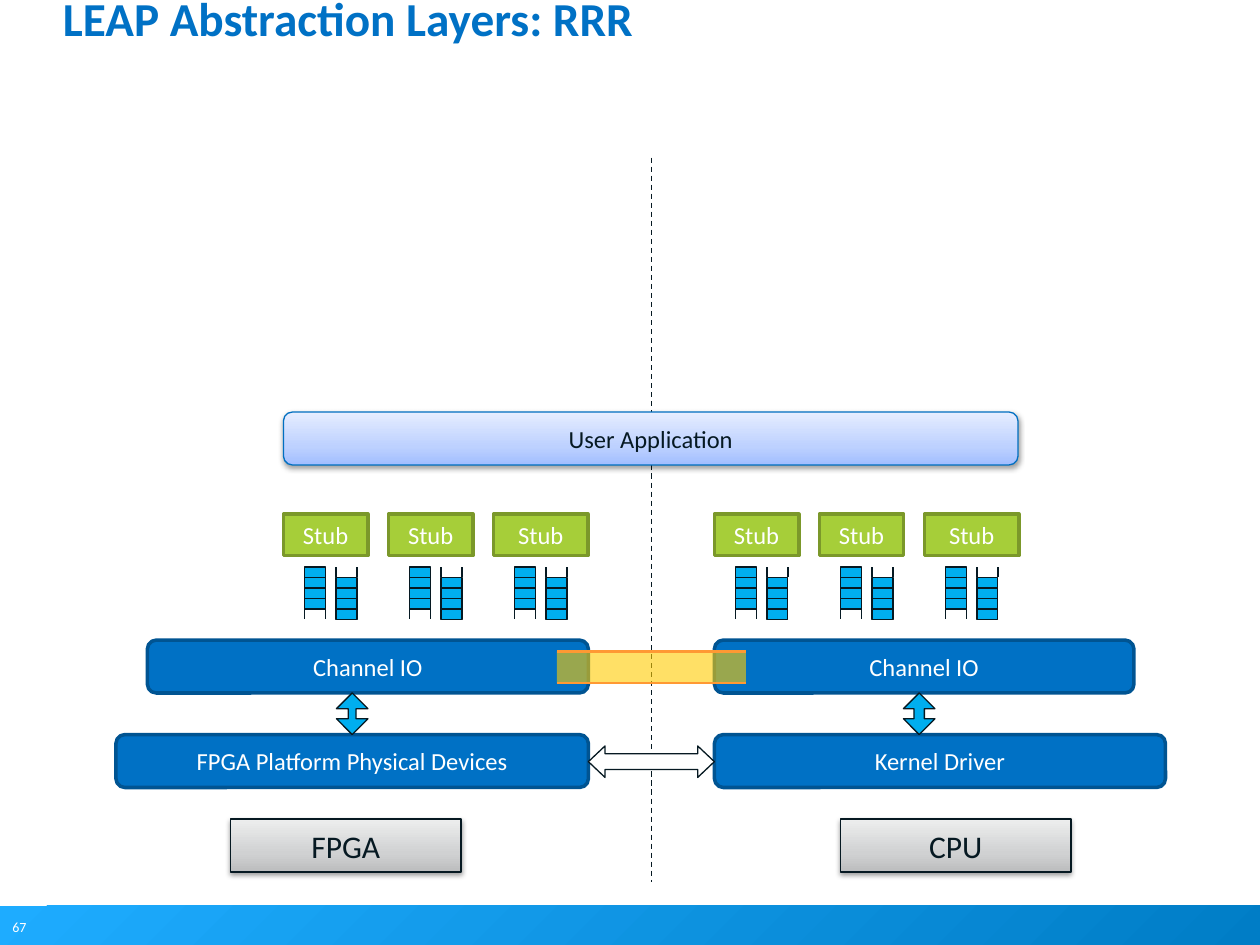
from lxml import etree
from pptx import Presentation
from pptx.dml.color import RGBColor
from pptx.enum.dml import MSO_LINE
from pptx.enum.shapes import MSO_CONNECTOR, MSO_SHAPE
from pptx.enum.text import MSO_ANCHOR, PP_ALIGN
from pptx.oxml.ns import qn
from pptx.util import Inches, Pt

RECTANGLE = MSO_SHAPE.RECTANGLE
ROUNDED = MSO_SHAPE.ROUNDED_RECTANGLE
ACROSS = MSO_SHAPE.LEFT_RIGHT_ARROW
UP_DOWN = MSO_SHAPE.UP_DOWN_ARROW
STRAIGHT = MSO_CONNECTOR.STRAIGHT
DASH = MSO_LINE.DASH
CENTER = PP_ALIGN.CENTER
MIDDLE = MSO_ANCHOR.MIDDLE

SLOT = 1 / 12
STUB_PITCH = 10 * SLOT


class Theme:
    font = "Calibri"
    ink = "061922"
    white = "FFFFFF"
    title = "0071C5"
    layer = ("0071C5", "005492")
    stub = ("A6CE39", "7B982A")
    queue = "00AEEF"
    channel = "FFCC00"
    channel_rail = "FF9933"
    application_line = "006FC1"
    application = [(0, "A2BEFF"), (35, "BDD1FF"), (100, "E6EDFF")]
    side = [(0, "BCBDBE"), (35, "D0D1D2"), (100, "EDEEEE")]
    footer = [(0, "1EACFF"), (100, "007DC6")]
    title_size = 27
    title_spacing = 26
    side_size = 18
    label_size = 14
    number_size = 8
    thin = 0.75
    rail = 1.5
    thick = 2


class Diagram:
    def __init__(self, page, theme):
        self.page = page
        self.theme = theme

    def child(self, parent, tag, **attributes):
        return etree.SubElement(parent, qn(tag), attributes)

    def fill_text(self, shape, text, size, color, bold=False):
        para = shape.text_frame.paragraphs[0]
        para.text = text
        span = para.runs[0]
        span.font.name = self.theme.font
        span.font.size = Pt(size)
        span.font.bold = bold
        span.font.color.rgb = RGBColor.from_string(color)
        return para

    def text(self, at, text, size, color, bold=False, wrap=True):
        box = self.page.shapes.add_textbox(*map(Inches, at))
        box.text_frame.word_wrap = wrap
        return box.text_frame, self.fill_text(box, text, size, color, bold)

    def shape(self, at, kind=RECTANGLE, fill=None, line=None, weight=Theme.thin,
              adjust=(), parent=None):
        shape = (parent or self.page).shapes.add_shape(kind, *map(Inches, at))
        shape.shadow.inherit = False
        for index, value in enumerate(adjust):
            shape.adjustments[index] = value
        if fill:
            shape.fill.solid()
            shape.fill.fore_color.rgb = RGBColor.from_string(fill)
        if line:
            shape.line.color.rgb = RGBColor.from_string(line)
            shape.line.width = Pt(weight)
        else:
            shape.line.fill.background()
        return shape

    def label(self, shape, text, size, color, wrap=False):
        shape.text_frame.word_wrap = wrap
        shape.text_frame.vertical_anchor = MIDDLE
        self.fill_text(shape, text, size, color).alignment = CENTER

    def gradient(self, shape, stops, angle):
        shape.fill.gradient()
        fill = shape.element.spPr.find(qn("a:gradFill"))
        for old in list(fill):
            fill.remove(old)
        stop_list = self.child(fill, "a:gsLst")
        for position, color in stops:
            stop = self.child(stop_list, "a:gs", pos=str(position * 1000))
            self.child(stop, "a:srgbClr", val=color)
        self.child(fill, "a:lin", ang=str(angle * 60000), scaled="0")

    def shadow(self, shape):
        effects = shape.element.spPr.find(qn("a:effectLst"))
        outer = self.child(effects, "a:outerShdw", blurRad=str(Pt(3.1)), dist=str(Pt(1.6)),
                           dir="5400000", rotWithShape="0")
        color = self.child(outer, "a:srgbClr", val="000000")
        self.child(color, "a:alpha", val="38000")

    def line(self, start, end, color, weight=Theme.thin, parent=None):
        line = (parent or self.page).shapes.add_connector(STRAIGHT, *map(Inches, start + end))
        line.line.color.rgb = RGBColor.from_string(color)
        line.line.width = Pt(weight)
        self.child(line.element.spPr, "a:effectLst")
        return line

    def layer(self, at, text):
        fill, line = self.theme.layer
        box = self.shape(at, ROUNDED, fill, line, self.theme.thick, [0.167])
        self.label(box, text, self.theme.label_size, self.theme.white)

    def raised(self, at, kind, stops, line, text, size, wrap):
        box = self.shape(at, kind, line=line)
        self.gradient(box, stops, 270)
        self.shadow(box)
        self.label(box, text, size, self.theme.ink, wrap)
        return box

    def channel(self, left, top, width, height):
        group = self.page.shapes.add_group_shape()
        band = self.shape((left, top, width, height), fill=self.theme.channel, parent=group)
        color = band.element.spPr.find(qn("a:solidFill"))[0]
        self.child(color, "a:alpha", val="60000")
        for y in (top, top + height):
            self.line((left, y), (left + width, y), self.theme.channel_rail,
                      self.theme.rail, group)

    def queue(self, left, top, open_top):
        ink, right = self.theme.ink, left + 2 * SLOT
        block_top = top + SLOT if open_top else top
        rail_top = top if open_top else top + 4 * SLOT
        group = self.page.shapes.add_group_shape()
        self.shape((left, block_top, 2 * SLOT, 4 * SLOT), fill=self.theme.queue,
                   line=ink, parent=group)
        for x in (left, right):
            self.line((x, rail_top), (x, rail_top + SLOT), ink, parent=group)
        for row in (1, 2, 3):
            y = block_top + row * SLOT
            self.line((left, y), (right, y), ink, parent=group)

    def stub(self, left, width):
        fill, line = self.theme.stub
        box = self.shape((left, 4.08, width, 0.33), RECTANGLE, fill, line, self.theme.thick)
        self.label(box, "Stub", self.theme.label_size, self.theme.white)
        self.queue(left + 2 * SLOT, 4.5, False)
        self.queue(left + 5 * SLOT, 4.5, True)


def main():
    deck = Presentation()
    deck.slide_width, deck.slide_height = Inches(10), Inches(7.5)
    theme = Theme()
    diagram = Diagram(deck.slides.add_slide(deck.slide_layouts[6]), theme)

    footer = diagram.shape((0, 7.19, 10.01, 0.32))
    diagram.gradient(footer, theme.footer, 45)
    diagram.text((0, 7.24, 0.31, 0.24), "67", theme.number_size, theme.white, wrap=False)
    frame, para = diagram.text((0.5, 0, 9, 1.25), "LEAP Abstraction Layers: RRR",
                               theme.title_size, theme.title, True)
    frame.margin_left = frame.margin_right = frame.margin_top = frame.margin_bottom = 0
    para.line_spacing = Pt(theme.title_spacing)

    diagram.line((5.17, 1.25), (5.17, 7), theme.ink).line.dash_style = DASH
    for left, top, width, text in (
        (5.67, 5.08, 3.33, "Channel IO"),
        (5.67, 5.83, 3.58, "Kernel Driver"),
        (0.92, 5.83, 3.75, "FPGA Platform Physical Devices"),
        (1.17, 5.08, 3.5, "Channel IO"),
    ):
        diagram.layer((left, top, width, 0.42), text)
    diagram.shape((4.67, 5.92, 1, 0.25), ACROSS, theme.white, theme.ink, adjust=(0.5, 0.53))
    for left, head in ((2.67, 0.25), (7.17, 0.33)):
        diagram.shape((left, 5.5, 0.25, 0.33), UP_DOWN, theme.queue, theme.ink,
                      adjust=(0.5, head))
    diagram.channel(4.42, 5.17, 1.5, 0.25)

    for left, text in ((1.83, "FPGA"), (6.67, "CPU")):
        diagram.raised((left, 6.5, 1.83, 0.42), RECTANGLE, theme.side, theme.ink,
                       text, theme.side_size, True)
    for side_left in (2.25, 5.67):
        for column, width in enumerate((0.67, 0.67, 0.75)):
            diagram.stub(side_left + column * STUB_PITCH, width)
    application = diagram.raised((2.25, 3.27, 5.83, 0.42), ROUNDED, theme.application,
                                 theme.application_line, "User Application",
                                 theme.label_size, False)
    application.adjustments[0] = 0.167
    deck.save("out.pptx")


if __name__ == "__main__":
    main()
